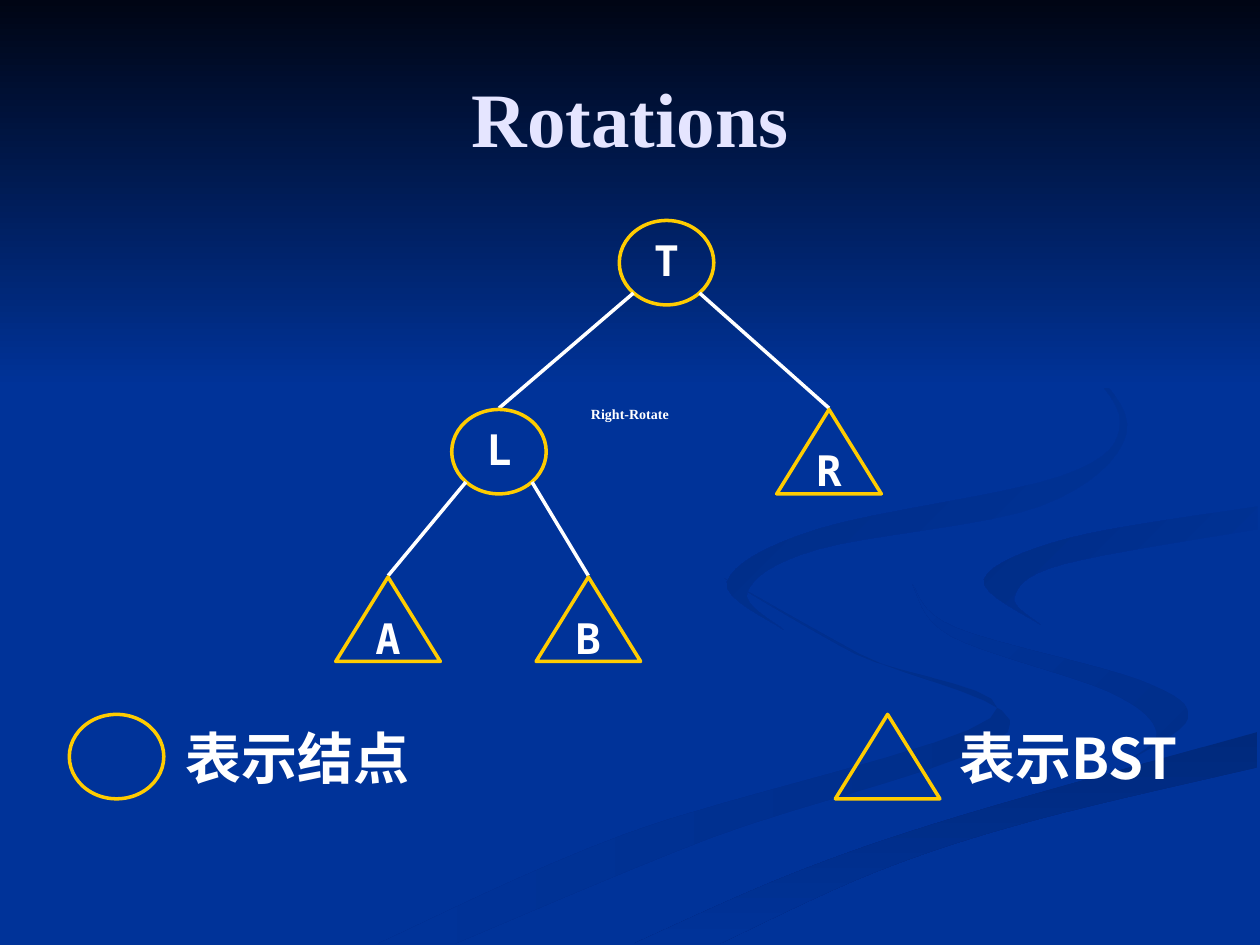
from lxml import etree
from pptx import Presentation
from pptx.dml.color import RGBColor
from pptx.enum.shapes import MSO_CONNECTOR, MSO_SHAPE
from pptx.enum.text import MSO_ANCHOR, PP_ALIGN
from pptx.oxml.ns import qn
from pptx.util import Inches, Pt

NAVY = RGBColor(0x00, 0x33, 0x99)
NIGHT = RGBColor(0x00, 0x05, 0x14)
SHADE_A = RGBColor(0x00, 0x2E, 0x8A)
SHADE_B = RGBColor(0x00, 0x29, 0x7C)
SHADE_C = RGBColor(0x00, 0x2C, 0x85)
SHADE_D = RGBColor(0x00, 0x2B, 0x81)
GOLD = RGBColor(0xFF, 0xCC, 0x00)
WHITE = RGBColor(0xFF, 0xFF, 0xFF)
LILAC = RGBColor(0xE5, 0xE5, 0xFF)

SERIF, MONO, CJK = "Times New Roman", "DejaVu Sans Mono", "Noto Sans CJK KR"
CIRCLE, TRIANGLE = MSO_SHAPE.OVAL, MSO_SHAPE.ISOSCELES_TRIANGLE
SIZES = {CIRCLE: (0.75, 0.67), TRIANGLE: (0.83, 0.67)}
STEPS = 8

RIBBONS = [
    (SHADE_A, NAVY, 180,
     [(5.75, 4.59), (6.82, 5.19), (8, 5.81), (5.64, 6.65), (3.61, 7.49)],
     [(5.75, 4.59), (6.79, 5.19), (7.86, 5.7), (4.99, 6.61), (3, 7.49)]),
    (SHADE_A, NAVY, 225,
     [(7.24, 4.64), (7.58, 4.98), (9.05, 5.4), (9.43, 5.7), (8.94, 6.05)],
     [(7.24, 4.64), (7.55, 5.05), (8.8, 5.49), (9.18, 5.81), (8.94, 6.05)]),
    (SHADE_B, NAVY, 90,
     [(5.03, 7.49), (6.3, 6.93), (7.64, 6.47), (9.98, 5.81)],
     [(5.71, 7.49), (6.95, 6.92), (8.21, 6.51), (9.98, 6.09)]),
    (NAVY, SHADE_C, 225,
     [(9.98, 4.02), (8.49, 4.27), (7.81, 4.6), (8.26, 4.96)],
     [(9.98, 4.2), (8.43, 4.48), (8.05, 4.74), (8.26, 4.96)]),
    (NAVY, SHADE_D, 225,
     [(7.62, 2.33), (8.54, 2.83), (8.94, 3.44), (8.25, 4.02), (6.49, 4.36), (5.93, 4.7),
      (6.22, 5)],
     [(7.62, 2.33), (8.46, 2.79), (8.89, 3.35), (8.42, 3.78), (6.49, 4.2), (5.77, 4.62),
      (6.22, 5)]),
]


def put_text(sp, text, *, size, font, color=WHITE, wrap=False, spacing=0.9):
    """Write one centred bold line into a shape."""
    tf = sp.text_frame
    tf.word_wrap, tf.vertical_anchor = wrap, MSO_ANCHOR.MIDDLE
    p = tf.paragraphs[0]
    p.alignment, p.line_spacing = PP_ALIGN.CENTER, spacing
    r = p.add_run()
    r.text = text
    r.font.size, r.font.bold = Pt(size), True
    r.font.color.rgb = color
    r.font.name = font
    etree.SubElement(r._r.get_or_add_rPr(), qn("a:ea")).set("typeface", font)


def add_label(s, x, y, w, h, text, **fmt):
    """Place a text box holding one formatted line."""
    put_text(s.shapes.add_textbox(Inches(x), Inches(y), Inches(w), Inches(h)), text, **fmt)


def add_symbol(s, kind, x, y):
    """Place an unfilled gold circle or triangle."""
    w, h = SIZES[kind]
    sp = s.shapes.add_shape(kind, Inches(x), Inches(y), Inches(w), Inches(h))
    sp.shadow.inherit = False
    sp.fill.background()
    sp.line.color.rgb, sp.line.width = GOLD, Pt(2)
    return sp


def add_edge(s, x1, y1, x2, y2):
    """Draw a white line between two points."""
    c = s.shapes.add_connector(MSO_CONNECTOR.STRAIGHT, Inches(x1), Inches(y1),
                               Inches(x2), Inches(y2))
    c.line.color.rgb, c.line.width = WHITE, Pt(2)
    etree.SubElement(c._element.spPr, qn("a:effectLst"))


def smooth(knots):
    """Return points on a Catmull-Rom curve through the knots."""
    ends = [knots[0], *knots, knots[-1]]
    curve = []
    for quad in zip(ends, ends[1:], ends[2:], ends[3:]):
        for t in (i / STEPS for i in range(STEPS)):
            curve.append(tuple(
                b + t * (c - a) / 2 + t ** 2 * (2 * a - 5 * b + 4 * c - d) / 2
                + t ** 3 * (3 * b - a - 3 * c + d) / 2
                for a, b, c, d in zip(*quad)))
    return curve + [knots[-1]]


def shade(sp, first, last, angle):
    """Give a shape a two-colour gradient, with the angle clockwise."""
    sp.shadow.inherit = False
    sp.line.fill.background()
    sp.fill.gradient()
    sp.fill.gradient_angle = 360 - angle
    for stop, color in zip(sp.fill.gradient_stops, (first, last)):
        stop.color.rgb = color


def add_backdrop(s, x, y, w):
    """Fill the background, then draw the ribbons and the dark band on top."""
    s.background.fill.solid()
    s.background.fill.fore_color.rgb = NAVY
    for first, last, angle, outer, inner in RIBBONS:
        outline = [(Inches(x + px), Inches(y + py))
                   for px, py in smooth(outer) + smooth(inner)[::-1]]
        fb = s.shapes.build_freeform(*outline[0])
        fb.add_line_segments(outline[1:], close=True)
        shade(fb.convert_to_shape(), first, last, angle)
    band = s.shapes.add_shape(MSO_SHAPE.RECTANGLE, Inches(x), Inches(y), Inches(w),
                              Inches(3.08))
    shade(band, NIGHT, NAVY, 90)


def add_tree(s, x, y):
    """Draw the binary tree, given the top left corner of its box."""
    nodes = {
        "T": (CIRCLE, 2.62, 0, "LR"),
        "L": (CIRCLE, 1.29, 1.5, "AB"),
        "A": (TRIANGLE, 0.41, 2.83, ""),
        "B": (TRIANGLE, 2, 2.83, ""),
        "R": (TRIANGLE, 3.91, 1.5, ""),
    }
    for name, (kind, cx, top, children) in nodes.items():
        w, h = SIZES[kind]
        put_text(add_symbol(s, kind, x + cx - w / 2, y + top), name, size=24, font=MONO)
        for child, side in zip(children, (-1, 1)):
            _, child_x, child_top, _ = nodes[child]
            add_edge(s, x + cx + side * 0.35 * w, y + top + 0.86 * h,
                     x + child_x, y + child_top - 0.01)


def add_legend(s, x, y, w, kind, text):
    """Place a symbol at the left of a box and its meaning beside it."""
    add_symbol(s, kind, x, y)
    add_label(s, x + 0.33, y + 0.08, w - 0.33, 0.58, text, size=32, font=CJK)


def main():
    """Build the slide and save it."""
    prs = Presentation()
    prs.slide_width, prs.slide_height = Inches(10), Inches(7.5)
    s = prs.slides.add_slide(prs.slide_layouts[6])
    add_backdrop(s, 0, 0, 10)
    add_label(s, 0.5, 0.3, 9, 1.25, "Rotations", size=44, font=SERIF, color=LILAC,
              wrap=True, spacing=1)
    add_label(s, 0.5, 3.17, 9, 0.25, "Right-Rotate", size=8, font=SERIF, wrap=True)
    add_tree(s, 2.67, 1.75)
    add_legend(s, 0.55, 5.67, 3.3, CIRCLE, "表示结点")
    add_legend(s, 6.63, 5.67, 3.37, TRIANGLE, "表示BST")
    prs.save("out.pptx")


if __name__ == "__main__":
    main()
